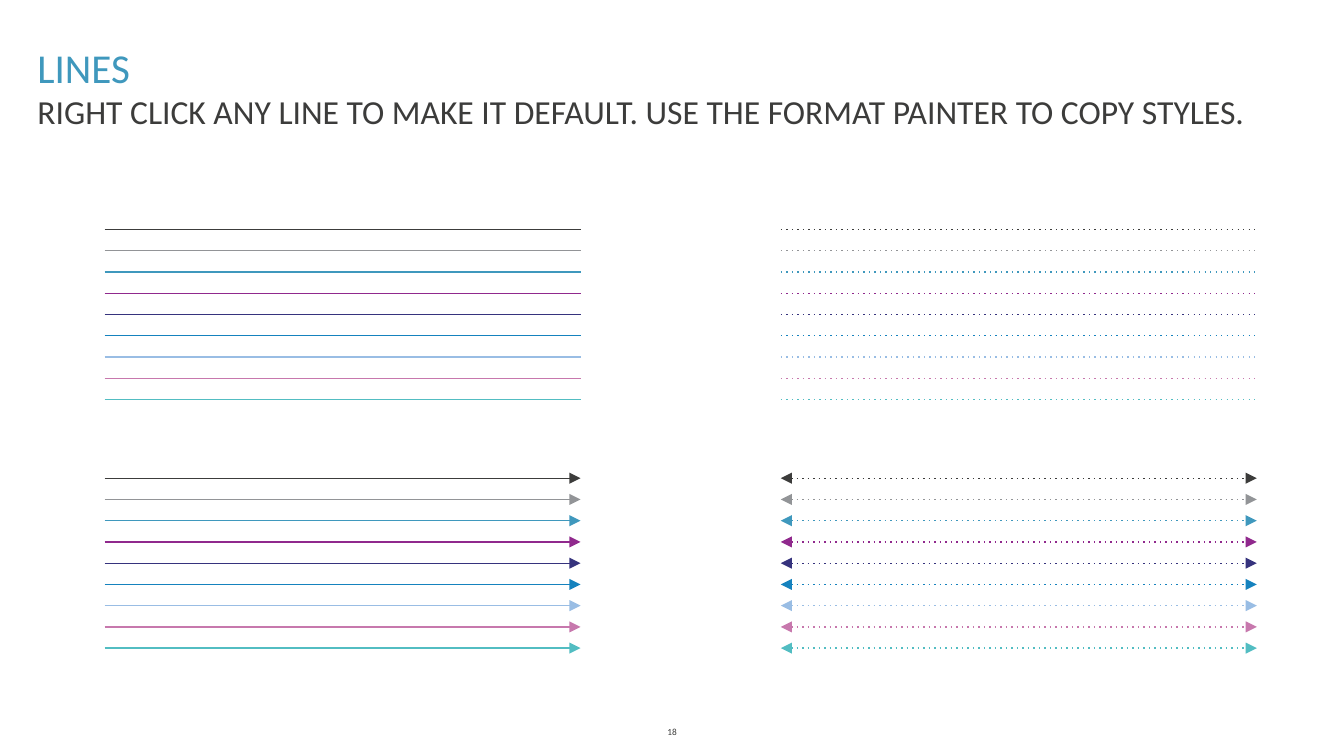
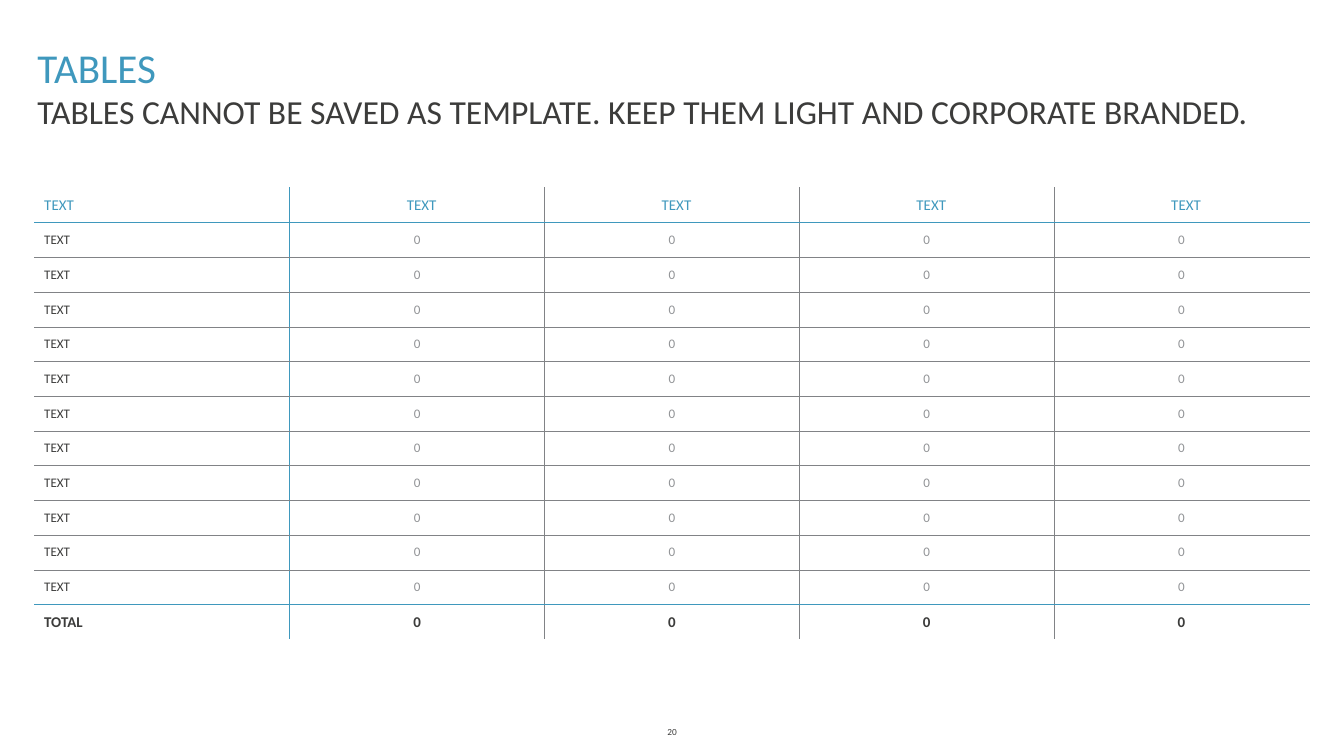
from lxml import etree
from pptx import Presentation
from pptx.dml.color import RGBColor
from pptx.enum.shapes import MSO_CONNECTOR
from pptx.enum.text import MSO_ANCHOR, PP_ALIGN
from pptx.oxml.ns import qn
from pptx.util import Pt

STRAIGHT = MSO_CONNECTOR.STRAIGHT
LEFT, CENTER = PP_ALIGN.LEFT, PP_ALIGN.CENTER
TOP, MIDDLE, BOTTOM = MSO_ANCHOR.TOP, MSO_ANCHOR.MIDDLE, MSO_ANCHOR.BOTTOM

COLORS = {
    "charcoal": "3C3C3B",
    "gray": "929497",
    "blue": "3F98BD",
    "purple": "90298D",
    "navy": "36337D",
    "azure": "1582BE",
    "sky": "99BDE4",
    "pink": "C778AD",
    "teal": "52BDC2",
    "rule": "818386",
}
LINE_COLORS = [name for name in COLORS if name != "rule"]

TITLE = {"size": 22, "color": "blue", "anchor": BOTTOM}
SUBTITLE = {"size": 18, "color": "charcoal", "anchor": TOP}
PAGE_NUMBER = {"size": 5, "color": "charcoal", "anchor": MIDDLE, "align": CENTER}
HEADER = {"size": 8, "color": "blue"}
LABEL = {"size": 7, "color": "charcoal"}
VALUE = {"size": 7, "color": "gray"}
TOTAL = {"size": 8, "color": "charcoal", "bold": True}


def set_attributes(target, values):
    for name, value in values.items():
        setattr(target, name, value)


class Deck:
    font = "Calibri"

    def __init__(self):
        self.presentation = Presentation()
        set_attributes(self.presentation, {"slide_width": Pt(720), "slide_height": Pt(405)})
        self.slide = None

    def add_slide(self, title, subtitle, number):
        layout = self.presentation.slide_layouts[6]
        self.slide = self.presentation.slides.add_slide(layout)
        self.add_text(title, (13, 18.9, 689, 33.8), TITLE)
        self.add_text(number, (326, 385.2, 68, 13.6), PAGE_NUMBER)
        self.add_text(subtitle, (13, 45.4, 689, 51), SUBTITLE)

    def fill_frame(self, frame, text, style):
        paragraph = frame.paragraphs[0]
        paragraph.alignment = style.get("align", LEFT)
        run = paragraph.add_run()
        run.text = text
        set_attributes(run.font, {
            "name": self.font,
            "size": Pt(style["size"]),
            "bold": style.get("bold", False),
        })
        run.font.color.rgb = RGBColor.from_string(COLORS[style["color"]])

    def add_text(self, text, box, style):
        frame = self.slide.shapes.add_textbox(*map(Pt, box)).text_frame
        set_attributes(frame, {"word_wrap": True, "vertical_anchor": style["anchor"]})
        self.fill_frame(frame, text, style)

    def add_line(self, left, top, width, color, dotted, ends):
        connector = self.slide.shapes.add_connector(
            STRAIGHT, Pt(left), Pt(top), Pt(left + width), Pt(top))
        connector.line.width = Pt(0.75)
        connector.line.color.rgb = RGBColor.from_string(COLORS[color])
        properties = connector._element.spPr
        outline = properties.find(qn("a:ln"))
        if dotted:
            etree.SubElement(outline, qn("a:prstDash"), val="dot")
        for end in ends:
            etree.SubElement(outline, qn(f"a:{end}"), type="triangle")
        etree.SubElement(properties, qn("a:effectLst"))

    def add_line_group(self, left, top, dotted=False, ends=()):
        for index, color in enumerate(LINE_COLORS):
            self.add_line(left, top + index * 11.38, 255, color, dotted, ends)

    def add_border(self, cell, side, color):
        properties = cell._tc.get_or_add_tcPr()
        border = etree.SubElement(properties, qn(f"a:ln{side}"), w=str(Pt(0.5)))
        fill = etree.SubElement(border, qn("a:solidFill"))
        etree.SubElement(fill, qn("a:srgbClr"), val=COLORS[color])

    def add_table(self, rows, left, top, column_width, row_height):
        row_count, column_count = len(rows), len(rows[0])
        table = self.slide.shapes.add_table(
            row_count, column_count, Pt(left), Pt(top),
            Pt(column_width * column_count), Pt(row_height * row_count)).table
        set_attributes(table, {"first_row": False, "horz_banding": False})
        for column in table.columns:
            column.width = Pt(column_width)
        for row in table.rows:
            row.height = Pt(row_height)
        blue_rules = (1, row_count - 1)
        for row, texts in enumerate(rows):
            for column, text in enumerate(texts):
                cell = table.cell(row, column)
                edges = (
                    ("L", column, column_count, (1,)),
                    ("R", column + 1, column_count, (1,)),
                    ("T", row, row_count, blue_rules),
                    ("B", row + 1, row_count, blue_rules),
                )
                for side, position, last, blue in edges:
                    if 0 < position < last:
                        self.add_border(cell, side, "blue" if position in blue else "rule")
                cell.fill.background()
                set_attributes(cell, {
                    "margin_left": Pt(5 if row == 0 or column == 0 else 0),
                    "margin_right": Pt(0),
                    "margin_top": Pt(2),
                    "margin_bottom": Pt(2),
                    "vertical_anchor": MIDDLE,
                })
                if row == 0:
                    style = HEADER
                elif row == row_count - 1:
                    style = TOTAL
                else:
                    style = VALUE if column else LABEL
                self.fill_frame(
                    cell.text_frame, text, {**style, "align": CENTER if column else LEFT})


def main():
    deck = Deck()

    deck.add_slide(
        "LINES",
        "RIGHT CLICK ANY LINE TO MAKE IT DEFAULT. USE THE FORMAT PAINTER TO COPY STYLES.",
        "18")
    left, right, upper, lower = 56, 418.3, 123, 256.2
    deck.add_line_group(left, upper)
    deck.add_line_group(right, upper, dotted=True)
    deck.add_line_group(left, lower, ends=("tailEnd",))
    deck.add_line_group(right, lower, dotted=True, ends=("headEnd", "tailEnd"))

    deck.add_slide(
        "TABLES",
        "TABLES CANNOT BE SAVED AS TEMPLATE. KEEP THEM LIGHT AND CORPORATE BRANDED.",
        "20")
    zeros = ["0"] * 4
    rows = [["TEXT"] * 5] + [["TEXT"] + zeros] * 11 + [["TOTAL"] + zeros]
    deck.add_table(rows, 18.7, 100.8, 136.5, 18.6)

    deck.presentation.save("out.pptx")


if __name__ == "__main__":
    main()
